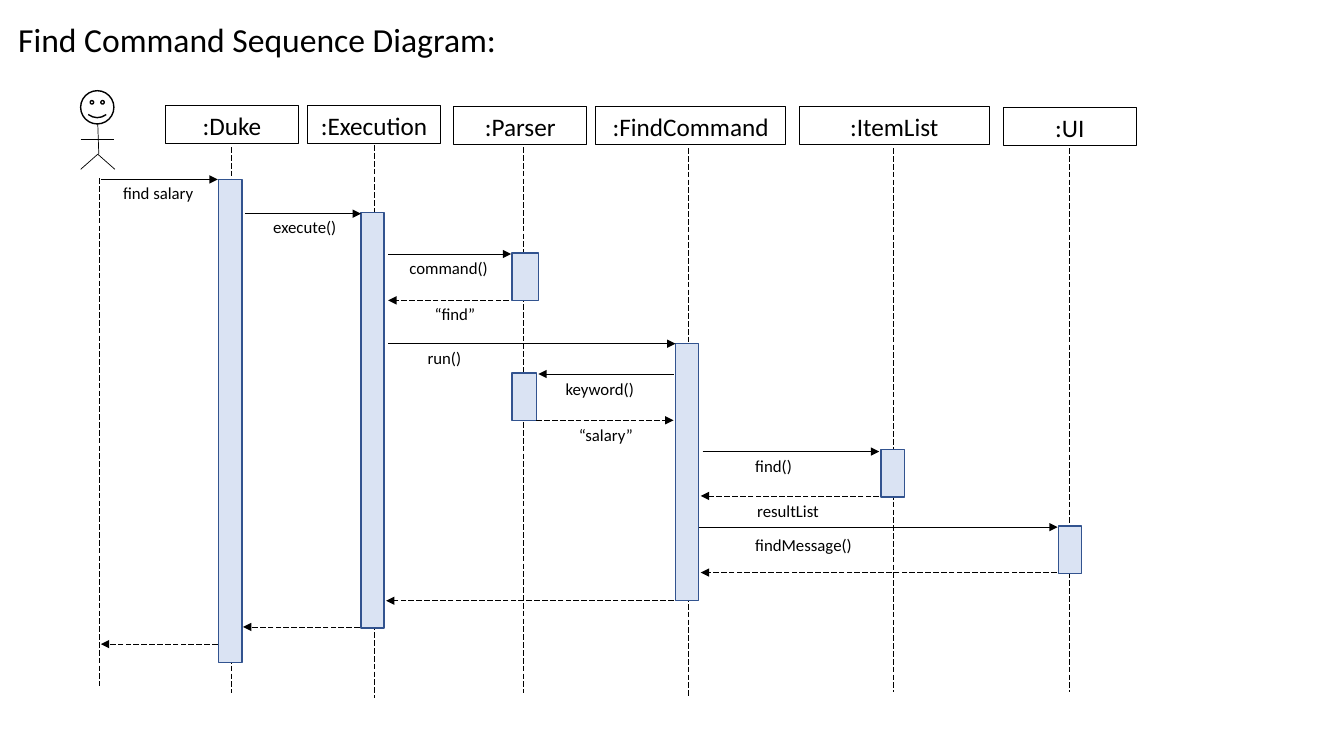
from dataclasses import dataclass

from lxml import etree
from pptx import Presentation
from pptx.dml.color import RGBColor
from pptx.enum.dml import MSO_LINE
from pptx.enum.shapes import MSO_CONNECTOR as CONN, MSO_SHAPE as SHAPE
from pptx.enum.text import MSO_ANCHOR as ANCHOR, MSO_AUTO_SIZE as AUTO, PP_ALIGN as ALIGN
from pptx.oxml.ns import qn
from pptx.util import Inches, Pt


@dataclass(frozen=True)
class Theme:
    font: str = "Calibri"
    ink: RGBColor = RGBColor(0x00, 0x00, 0x00)
    bar_fill: RGBColor = RGBColor(0xDA, 0xE3, 0xF3)
    bar_line: RGBColor = RGBColor(0x32, 0x53, 0x8F)
    title_size: int = 24
    head_size: int = 18
    label_size: int = 12
    thin: float = 0.5
    box_line: float = 0.75
    bar_width: float = 1


THEME = Theme()

PARTICIPANTS = [
    (":Duke", 1.64, 1.05, 1.32, 2.29, 1.46, 6.88),
    (":Execution", 3.05, 1.05, 1.32, 3.71, 1.44, 6.92),
    (":Parser", 4.5, 1.06, 1.32, 5.19, 1.46, 6.88),
    (":FindCommand", 5.91, 1.06, 1.88, 6.83, 1.47, 6.9),
    (":ItemList", 7.93, 1.06, 1.88, 8.86, 1.47, 6.87),
    (":UI", 9.95, 1.07, 1.32, 10.61, 1.47, 6.87),
]

ACTIVATIONS = [
    (2.17, 1.78, 0.23, 4.79),
    (3.58, 2.11, 0.23, 4.12),
    (5.08, 2.51, 0.26, 0.47),
    (6.7, 3.41, 0.23, 2.55),
    (5.08, 3.7, 0.24, 0.47),
    (8.74, 4.46, 0.23, 0.47),
    (10.5, 5.22, 0.23, 0.47),
]

CALLS = [
    (1, 2.16, 1.78),
    (2.43, 3.58, 2.12),
    (3.85, 5.07, 2.52),
    (3.85, 6.7, 3.41),
    (6.68, 5.34, 3.71),
    (6.97, 8.72, 4.48),
    (6.93, 10.49, 5.23),
]

REPLIES = [
    (5.05, 3.85, 2.98),
    (5.32, 6.68, 4.17),
    (8.72, 6.95, 4.92),
    (10.48, 6.95, 5.68),
    (6.68, 3.83, 5.96),
    (3.57, 2.41, 6.22),
    (2.16, 1, 6.39),
]

LABELS = [
    ("find salary", 1.17, 1.76, 0.81),
    ("execute()", 2.66, 2.1, 0.74),
    ("command()", 4.01, 2.51, 0.89),
    ("“find”", 4.26, 2.96, 0.52),
    ("run()", 4.19, 3.4, 0.45),
    ("keyword()", 5.56, 3.71, 0.79),
    ("“salary”", 5.69, 4.16, 0.65),
    ("find()", 7.44, 4.47, 0.48),
    ("resultList", 7.46, 4.92, 0.73),
    ("findMessage()", 7.44, 5.26, 1.07),
]


def write(shape, text, size=THEME.label_size, align=ALIGN.LEFT, wrap=True, fit=AUTO.NONE):
    tf = shape.text_frame
    tf.margin_left = tf.margin_right = tf.margin_top = tf.margin_bottom = Inches(0.05)
    tf.vertical_anchor = ANCHOR.TOP
    tf.word_wrap = wrap
    tf.auto_size = fit
    p = tf.paragraphs[0]
    p.alignment = align
    r = p.add_run()
    r.text = text
    r.font.name = THEME.font
    r.font.size = Pt(size)
    r.font.color.rgb = THEME.ink


def add_line(shapes, x1, y1, x2, y2, dashed=False, arrow=False):
    line = shapes.add_connector(CONN.STRAIGHT, Inches(x1), Inches(y1), Inches(x2), Inches(y2))
    line.line.color.rgb = THEME.ink
    line.line.width = Pt(THEME.thin)
    if dashed:
        line.line.dash_style = MSO_LINE.LONG_DASH
    sp_pr = line._element.spPr
    if arrow:
        etree.SubElement(sp_pr.find(qn("a:ln")), qn("a:tailEnd"), type="triangle")
    etree.SubElement(sp_pr, qn("a:effectLst"))


def add_block(shapes, kind, x, y, w, h, fill=None, line=THEME.ink, width=THEME.bar_width):
    sp = shapes.add_shape(kind, Inches(x), Inches(y), Inches(w), Inches(h))
    sp.shadow.inherit = False
    if fill is None:
        sp.fill.background()
    else:
        sp.fill.solid()
        sp.fill.fore_color.rgb = fill
    sp.line.color.rgb = line
    sp.line.width = Pt(width)
    return sp


def add_title(s, text):
    title = s.shapes.title
    title.left, title.top = Inches(0.13), Inches(0.14)
    title.width, title.height = Inches(5.63), Inches(0.43)
    write(title, text, size=THEME.title_size)


def add_actor(s):
    actor = s.shapes.add_group_shape().shapes
    add_block(actor, SHAPE.SMILEY_FACE, 0.8, 0.9, 0.33, 0.33)
    add_line(actor, 0.97, 1.23, 0.98, 1.53)
    add_line(actor, 0.8, 1.38, 1.13, 1.38)
    for foot in (0.8, 1.14):
        add_line(actor, 0.97, 1.53, foot, 1.68)


def add_participant(s, name, left, top, width, life_x, life_top, life_bottom):
    head = add_block(s.shapes, SHAPE.RECTANGLE, left, top, width, 0.37, width=THEME.box_line)
    write(head, name, size=THEME.head_size, align=ALIGN.CENTER)
    add_line(s.shapes, life_x, life_top, life_x, life_bottom, dashed=True)


def add_activation(s, x, y, w, h):
    add_block(s.shapes, SHAPE.RECTANGLE, x, y, w, h, fill=THEME.bar_fill, line=THEME.bar_line)


def add_message(s, start, end, y, reply=False):
    add_line(s.shapes, start, y, end, y, dashed=reply, arrow=True)


def add_label(s, text, x, y, w):
    box = s.shapes.add_textbox(Inches(x), Inches(y), Inches(w), Inches(0.27))
    write(box, text, wrap=False, fit=AUTO.SHAPE_TO_FIT_TEXT)


def main():
    prs = Presentation()
    prs.slide_width, prs.slide_height = Inches(13.33), Inches(7.5)
    s = prs.slides.add_slide(prs.slide_layouts[5])

    add_title(s, "Find Command Sequence Diagram:")
    add_actor(s)
    add_line(s.shapes, 0.99, 1.77, 0.99, 6.81, dashed=True)
    for participant in PARTICIPANTS:
        add_participant(s, *participant)
    for activation in ACTIVATIONS:
        add_activation(s, *activation)
    for call in CALLS:
        add_message(s, *call)
    for reply in REPLIES:
        add_message(s, *reply, reply=True)
    for label in LABELS:
        add_label(s, *label)

    prs.save("out.pptx")


if __name__ == "__main__":
    main()
